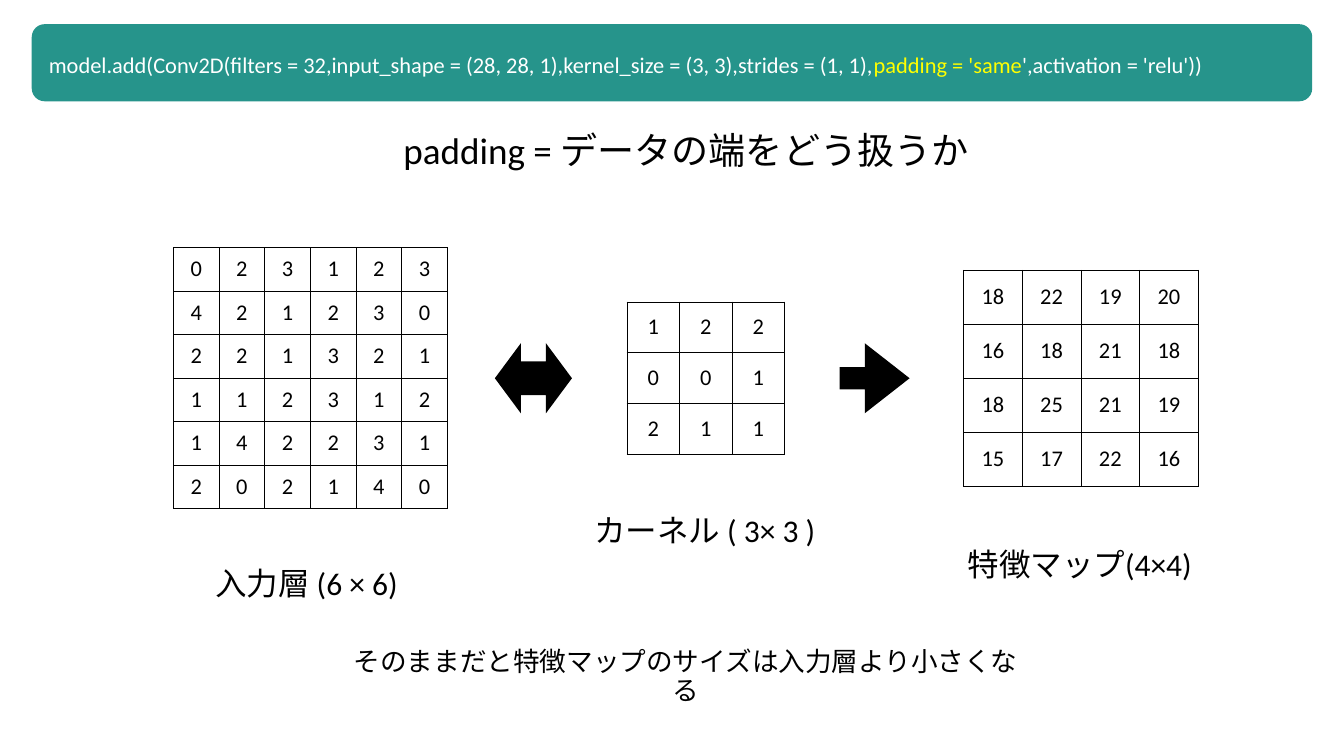
"""Build a slide that shows how convolution without padding shrinks a feature map."""
from dataclasses import dataclass

from lxml.etree import SubElement
from pptx import Presentation
from pptx.dml.color import RGBColor
from pptx.enum.shapes import MSO_SHAPE
from pptx.enum.text import MSO_ANCHOR, MSO_AUTO_SIZE, PP_ALIGN
from pptx.oxml.ns import qn
from pptx.util import Inches, Pt

COLORS = {"ink": "000000", "paper": "FFFFFF", "teal": "26948B", "mark": "FFFF00"}
FONT = "Calibri"
INSET = Inches(0.06)


@dataclass
class Box:
    left: float
    top: float
    width: float
    height: float

    def span(self) -> tuple:
        return tuple(map(Inches, (self.left, self.top, self.width, self.height)))


@dataclass
class Label:
    box: Box
    size: int
    runs: list[tuple[str, str]]
    align: PP_ALIGN = PP_ALIGN.LEFT


@dataclass
class Grid:
    box: Box
    rows: list[list[int]]


@dataclass
class Block:
    box: Box
    kind: MSO_SHAPE
    color: str
    adjust: tuple[float, ...] = ()


TITLE = Label(Box(7.75, 2.42, 11.73, 1.23), 53,
              [("padding = データの端をどう扱うか", "ink")], PP_ALIGN.CENTER)

GRIDS = [
    Grid(Box(3.44, 4.91, 5.44, 5.18), [
        [0, 2, 3, 1, 2, 3],
        [4, 2, 1, 2, 3, 0],
        [2, 2, 1, 3, 2, 1],
        [1, 1, 2, 3, 1, 2],
        [1, 4, 2, 2, 3, 1],
        [2, 0, 2, 1, 4, 0],
    ]),
    Grid(Box(19.12, 5.36, 4.66, 4.29), [
        [18, 22, 19, 20],
        [16, 18, 21, 18],
        [18, 25, 21, 19],
        [15, 17, 22, 16],
    ]),
    Grid(Box(12.44, 5.99, 3.13, 3.02), [[1, 2, 2], [0, 0, 1], [2, 1, 1]]),
]

BLOCKS = [
    Block(Box(16.66, 6.81, 1.39, 1.39), MSO_SHAPE.RIGHT_ARROW, "ink", (0.32, 0.64)),
    Block(Box(9.82, 6.81, 1.53, 1.39), MSO_SHAPE.LEFT_RIGHT_ARROW, "ink", (0.485, 0.371)),
    Block(Box(0.63, 0.48, 25.41, 1.53), MSO_SHAPE.ROUNDED_RECTANGLE, "teal"),
]

LABELS = [
    Label(Box(4.21, 11.08, 3.95, 1.05), 45, [("入力層 (6 × 6)", "ink")]),
    Label(Box(19.14, 10.72, 4.65, 1.05), 45, [("特徴マップ(4×4)", "ink")]),
    Label(Box(11.73, 10.04, 4.55, 1.05), 45, [("カーネル ( 3× 3 )", "ink")]),
    Label(Box(6.7, 13.12, 13.82, 0.64), 38,
          [("そのままだと特徴マップのサイズは入力層より小さくなる", "ink")], PP_ALIGN.CENTER),
    Label(Box(0.91, 1.01, 23.32, 0.6), 32, [
        ("model.add(Conv2D(filters = 32,input_shape = (28, 28, 1),"
         "kernel_size = (3, 3),strides = (1, 1),", "paper"),
        ("padding = 'same", "mark"),
        ("',activation = 'relu'))", "paper"),
    ]),
]


def tint(name: str) -> RGBColor:
    """Return the named colour."""
    return RGBColor.from_string(COLORS[name])


def pad(item) -> None:
    """Set equal insets on a cell or a text frame."""
    item.margin_left = item.margin_right = INSET
    item.margin_top = item.margin_bottom = INSET
    item.vertical_anchor = MSO_ANCHOR.MIDDLE


def write(frame, runs: list[tuple[str, str]], size: int, align: PP_ALIGN) -> None:
    """Write coloured runs into the first paragraph."""
    line = frame.paragraphs[0]
    line.alignment = align
    line.line_spacing = 0.9
    for text, color in runs:
        run = line.add_run()
        run.text = text
        run.font.name = FONT
        run.font.size = Pt(size)
        run.font.color.rgb = tint(color)


def fill_label(shape, label: Label) -> None:
    """Place and fill a text shape."""
    shape.left, shape.top, shape.width, shape.height = label.box.span()
    frame = shape.text_frame
    frame.word_wrap = True
    frame.auto_size = MSO_AUTO_SIZE.NONE
    pad(frame)
    write(frame, label.runs, label.size, label.align)


def add_edges(cell) -> None:
    """Draw a thin line on each side of a cell."""
    props = cell._tc.get_or_add_tcPr()
    for side in ("lnL", "lnR", "lnT", "lnB"):
        edge = SubElement(props, qn(f"a:{side}"), w=str(Pt(1)))
        SubElement(SubElement(edge, qn("a:solidFill")), qn("a:srgbClr"), val=COLORS["ink"])


def add_grid(slide, grid: Grid) -> None:
    """Add a table of evenly sized number cells."""
    count = len(grid.rows)
    table = slide.shapes.add_table(count, count, *grid.box.span()).table
    table.first_row = table.horz_banding = False
    for col in table.columns:
        col.width = Inches(grid.box.width / count)
    for row, values in zip(table.rows, grid.rows):
        row.height = Inches(grid.box.height / count)
        for cell, value in zip(row.cells, values):
            pad(cell)
            add_edges(cell)
            cell.fill.solid()
            cell.fill.fore_color.rgb = tint("paper")
            write(cell.text_frame, [(str(value), "ink")], 32, PP_ALIGN.CENTER)


def add_block(slide, block: Block) -> None:
    """Add a flat preset shape."""
    shape = slide.shapes.add_shape(block.kind, *block.box.span())
    shape.shadow.inherit = False
    shape.fill.solid()
    shape.fill.fore_color.rgb = tint(block.color)
    shape.line.fill.background()
    for index, value in enumerate(block.adjust):
        shape.adjustments[index] = value


def main() -> None:
    """Draw the slide and save it."""
    deck = Presentation()
    deck.slide_width, deck.slide_height = Inches(26.67), Inches(15)
    slide = deck.slides.add_slide(deck.slide_layouts[5])
    fill_label(slide.shapes.title, TITLE)
    for grid in GRIDS:
        add_grid(slide, grid)
    for block in BLOCKS:
        add_block(slide, block)
    for label in LABELS:
        fill_label(slide.shapes.add_textbox(*label.box.span()), label)
    deck.save("out.pptx")


if __name__ == "__main__":
    main()
